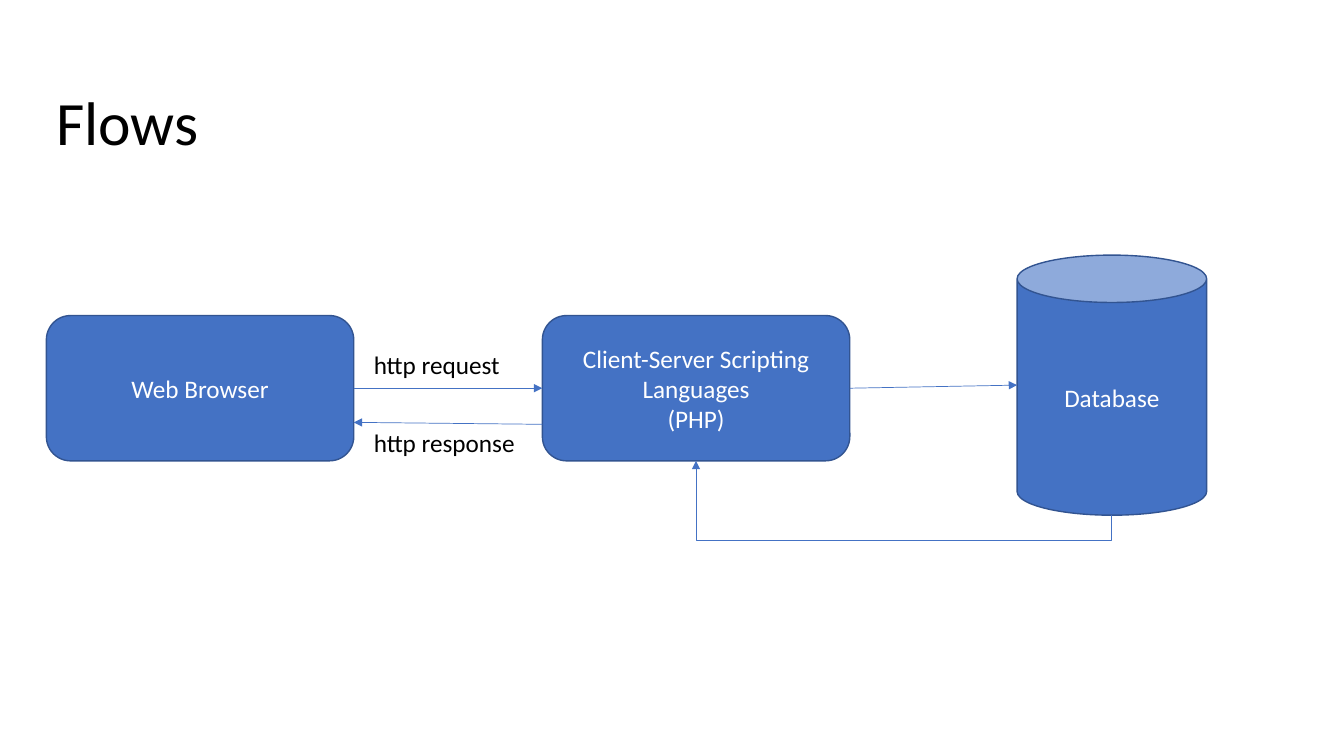
from pptx import Presentation
from pptx.dml.color import RGBColor
from pptx.enum.shapes import MSO_CONNECTOR, MSO_SHAPE
from pptx.enum.text import MSO_ANCHOR, MSO_AUTO_SIZE, PP_ALIGN
from pptx.oxml.ns import qn
from pptx.util import Pt
from lxml.etree import SubElement

BLUE, EDGE = "4472C4", "325491"


def write(shape, text, size=18, color="000000", align=PP_ALIGN.LEFT,
          anchor=MSO_ANCHOR.TOP, wrap=True, space=1.0):
    frame = shape.text_frame
    frame.word_wrap = wrap
    frame.vertical_anchor = anchor
    frame.text = text
    for para in frame.paragraphs:
        para.alignment = align
        para.line_spacing = space
        font = para.runs[0].font
        font.name, font.size = "Calibri", Pt(size)
        font.color.rgb = RGBColor.from_string(color)


def arrow(kind, start, end):
    link = slide.shapes.add_connector(kind, *map(Pt, start + end))
    link.line.color.rgb = RGBColor.from_string(BLUE)
    link.line.width = Pt(0.5)
    SubElement(link.line._get_or_add_ln(), qn("a:tailEnd"), type="triangle")
    SubElement(link._element.spPr, qn("a:effectLst"))
    return link


deck = Presentation()
deck.slide_width, deck.slide_height = Pt(960), Pt(540)
slide = deck.slides.add_slide(deck.slide_layouts[6])

# Title
title = slide.shapes.add_textbox(Pt(33.1), Pt(37.4), Pt(828), Pt(104.4))
write(title, "Flows", size=44, anchor=MSO_ANCHOR.MIDDLE, space=0.9)

# Browser, server and database
top, wide, high = 225.4, 219.6, 103.8
left, mid = 33.1, 387.4
can_x, can_y, can_w, can_h = 726.5, 182.2, 135.4, 185.8
nodes = []
for kind, text, box in [
    (MSO_SHAPE.ROUNDED_RECTANGLE, "Web Browser", (left, top, wide, high)),
    (MSO_SHAPE.ROUNDED_RECTANGLE,
     "Client-Server Scripting Languages\n(PHP)", (mid, top, wide, high)),
    (MSO_SHAPE.CAN, "Database", (can_x, can_y, can_w, can_h)),
]:
    node = slide.shapes.add_shape(kind, *map(Pt, box))
    node.shadow.inherit = False
    node.fill.solid()
    node.fill.fore_color.rgb = RGBColor.from_string(BLUE)
    node.line.color.rgb = RGBColor.from_string(EDGE)
    node.line.width = Pt(1)
    write(node, text, color="FFFFFF", align=PP_ALIGN.CENTER,
          anchor=MSO_ANCHOR.MIDDLE)
    nodes.append(node)
web, server, store = nodes

# Straight arrows
axis = top + high / 2
ask = arrow(MSO_CONNECTOR.STRAIGHT, (left + wide, axis), (mid, axis))
ask.begin_connect(web, 3)
ask.end_connect(server, 1)
query = arrow(MSO_CONNECTOR.STRAIGHT, (mid + wide, axis),
              (can_x, can_y + can_h / 2))
query.begin_connect(server, 3)
arrow(MSO_CONNECTOR.STRAIGHT, (mid, 303.1), (left + wide, 301.7))

# Elbow from the database back to the server, turned a quarter
x1, y1 = can_x + can_w / 2, can_y + can_h
x2, y2 = mid + wide / 2, top + high
span, drop = x1 - x2, y1 - y2
cx, cy = (x1 + x2) / 2, (y1 + y2) / 2
back = arrow(MSO_CONNECTOR.ELBOW, (cx + drop / 2, cy - span / 2),
             (cx - drop / 2, cy + span / 2))
form = back._element.spPr
form.find(qn("a:xfrm")).set("rot", str(90 * 60000))
bend = form.find(qn("a:prstGeom")).find(qn("a:avLst"))
SubElement(bend, qn("a:gd"), name="adj1",
           fmla=f"val {round(-18 / drop * 100000)}")

# Arrow labels
for text, y, w in [("http request", 246.2, 105.8),
                   ("http response", 301.7, 116.6)]:
    label = slide.shapes.add_textbox(Pt(259.9), Pt(y), Pt(w), Pt(29))
    write(label, text, wrap=False)
    label.text_frame.auto_size = MSO_AUTO_SIZE.SHAPE_TO_FIT_TEXT

deck.save("out.pptx")
